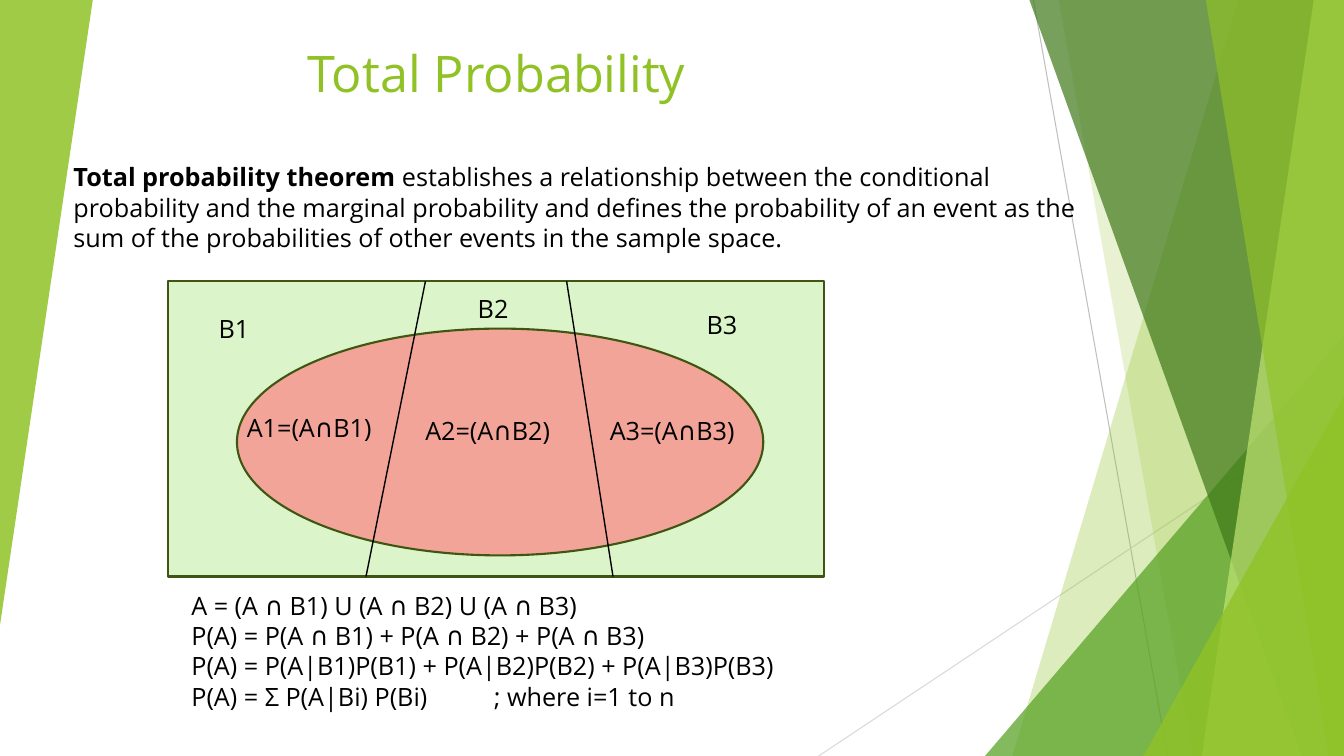
from collections import namedtuple
from dataclasses import dataclass

from lxml import etree
from pptx import Presentation
from pptx.dml.color import RGBColor
from pptx.enum.shapes import MSO_CONNECTOR, MSO_SHAPE
from pptx.enum.text import MSO_ANCHOR, PP_ALIGN
from pptx.oxml.ns import qn
from pptx.util import Inches, Pt

Box = namedtuple("Box", "x y w h")


@dataclass(frozen=True)
class Theme:
    font: str = "Open Sans"
    title_size: int = 36
    body_size: int = 18
    ink: str = "000000"
    lime: str = "90C226"
    green: str = "54A021"
    forest: str = "3F7819"
    pale_lime: str = "C0E474"
    sample_space: str = "DBF4CA"
    event: str = "F2A499"
    outline: str = "3F5511"
    guide_dark: str = "BFBFBF"
    guide_light: str = "D9D9D9"


THEME = Theme()


def rgb(code):
    return RGBColor.from_string(code)


def inches(*values):
    return [Inches(value) for value in values]


def style_shape(shape, fill, line=None, opacity=100):
    shape.shadow.inherit = False
    shape.fill.solid()
    shape.fill.fore_color.rgb = rgb(fill)
    if opacity < 100:
        color = shape.fill._xPr.find(qn("a:solidFill"))[0]
        etree.SubElement(color, qn("a:alpha"), val=str(opacity * 1000))
    if line:
        shape.line.color.rgb = rgb(line)
        shape.line.width = Pt(1.5)
    else:
        shape.line.fill.background()


def add_line(slide, start, end, color, width):
    line = slide.shapes.add_connector(MSO_CONNECTOR.STRAIGHT, *inches(*start, *end))
    line.line.color.rgb = rgb(color)
    line.line.width = Pt(width)
    etree.SubElement(line._element.spPr, qn("a:effectLst"))


def add_run(paragraph, text, size, color, bold=False):
    run = paragraph.add_run()
    run.text = text
    run.font.name = THEME.font
    run.font.size = Pt(size)
    run.font.bold = bold
    run.font.color.rgb = rgb(color)


def add_text(slide, box, paragraphs, anchor=MSO_ANCHOR.TOP):
    shape = slide.shapes.add_textbox(*inches(*box))
    frame = shape.text_frame
    frame.word_wrap = True
    frame.vertical_anchor = anchor
    for index, runs in enumerate(paragraphs):
        paragraph = frame.add_paragraph() if index else frame.paragraphs[0]
        for text, bold in runs:
            add_run(paragraph, text, THEME.body_size, THEME.ink, bold)
    return frame


def add_band(slide, box, top_x, bottom_x, color, opacity):
    right, bottom = box.x + box.w, box.y + box.h
    corners = [(box.x + top_x, box.y), (right, box.y), (right, bottom), (box.x + bottom_x, bottom)]
    points = [tuple(inches(*corner)) for corner in corners]
    builder = slide.shapes.build_freeform(*points[0])
    builder.add_line_segments(points[1:], close=True)
    style_shape(builder.convert_to_shape(), color, opacity=opacity)


def add_corner(slide, box, color, opacity, rotation=0):
    triangle = slide.shapes.add_shape(MSO_SHAPE.ISOSCELES_TRIANGLE, *inches(*box))
    triangle.adjustments[0] = 1
    triangle.rotation = rotation
    style_shape(triangle, color, opacity=opacity)


def add_bottom_corner(slide, box, width, height, color, opacity):
    corner = Box(box.x + box.w - width, box.y + box.h - height, width, height)
    add_corner(slide, corner, color, opacity)


def right_facets(slide, box):
    right, bottom = box.x + box.w, box.y + box.h
    add_line(slide, (box.x + 2.13, box.y), (box.x + 3.46, bottom), THEME.guide_dark, 0.75)
    add_line(slide, (right, box.y + 4.03), (box.x, bottom), THEME.guide_light, 0.75)
    facets = [
        (add_band, 4.16, 1.92, THEME.lime, 30),
        (add_band, 2.38, 3.71, THEME.lime, 20),
        (add_bottom_corner, 3.56, 4.17, THEME.green, 72),
        (add_band, 2.09, 4.79, THEME.forest, 70),
        (add_band, 4.91, 3.8, THEME.pale_lime, 70),
        (add_band, 3.84, 5.06, THEME.lime, 65),
        (add_bottom_corner, 1.99, 3.57, THEME.lime, 80),
    ]
    for draw, *details in facets:
        draw(slide, box, *details)


def title(slide, box, text):
    shape = slide.shapes.title
    shape.left, shape.top, shape.width, shape.height = inches(*box)
    frame = shape.text_frame
    frame.vertical_anchor = MSO_ANCHOR.BOTTOM
    frame.paragraphs[0].alignment = PP_ALIGN.RIGHT
    add_run(frame.paragraphs[0], text, THEME.title_size, THEME.lime)


def partition_diagram(slide, box):
    space = slide.shapes.add_shape(MSO_SHAPE.RECTANGLE, *inches(*box))
    style_shape(space, THEME.sample_space, THEME.outline)
    event = slide.shapes.add_shape(
        MSO_SHAPE.OVAL, *inches(box.x + 0.68, box.y + 0.47, 5.22, 2.25))
    style_shape(event, THEME.event, THEME.outline)
    for top_x, bottom_x in [(2.55, 1.96), (3.95, 4.41)]:
        add_line(slide, (box.x + top_x, box.y), (box.x + bottom_x, box.y + box.h), THEME.ink, 1)
    part_spots = [(0.4, 0.27), (2.97, 0.07), (5.24, 0.23)]
    overlap_spots = [(0.68, 1.25), (2.45, 1.28), (4.28, 1.28)]
    for number, (part, overlap) in enumerate(zip(part_spots, overlap_spots), 1):
        labels = [(f"B{number}", part, 0.56), (f"A{number}=(A∩B{number})", overlap, 1.44)]
        for text, (x, y), width in labels:
            add_text(slide, Box(box.x + x, box.y + y, width, 0.4), [[(text, False)]])


def formulas(slide, box, lines):
    frame = add_text(slide, box, [[(line, False)] for line in lines], MSO_ANCHOR.MIDDLE)
    properties = frame.paragraphs[-1]._p.get_or_add_pPr()
    stops = etree.SubElement(properties, qn("a:tabLst"))
    etree.SubElement(stops, qn("a:tab"), pos=str(Inches(3)), algn="l")


def total_probability_slide(prs, box):
    slide = prs.slides.add_slide(prs.slide_layouts[5])
    right_facets(slide, Box(box.x + 8.12, box.y, box.w - 8.12, box.h))
    add_corner(slide, Box(box.x, box.y, 0.92, 6.2), THEME.lime, 85, rotation=180)
    title(slide, Box(box.x + 2.71, box.y + 0.19, 4.19, 0.88), "Total Probability")
    theorem = [
        ("Total probability theorem ", True),
        ("establishes a relationship between the conditional probability and the "
         "marginal probability and defines the probability of an event as the sum "
         "of the probabilities of other events in the sample space.", False),
    ]
    add_text(slide, Box(box.x + 0.63, box.y + 1.55, 10.28, 1.01), [theorem], MSO_ANCHOR.MIDDLE)
    partition_diagram(slide, Box(box.x + 1.67, box.y + 2.79, 6.5, 2.93))
    formulas(slide, Box(box.x + 1.8, box.y + 5.8, 6.5, 1.31), [
        "A = (A ∩ B1) U (A ∩ B2) U (A ∩ B3)",
        "P(A) = P(A ∩ B1) + P(A ∩ B2) + P(A ∩ B3)",
        "P(A) = P(A|B1)P(B1) + P(A|B2)P(B2) + P(A|B3)P(B3)",
        "P(A) = Σ P(A|Bi) P(Bi)\t; where i=1 to n",
    ])


page = Box(0, 0, 13.33, 7.5)
prs = Presentation()
prs.slide_width, prs.slide_height = inches(page.w, page.h)
total_probability_slide(prs, page)
prs.save("out.pptx")
